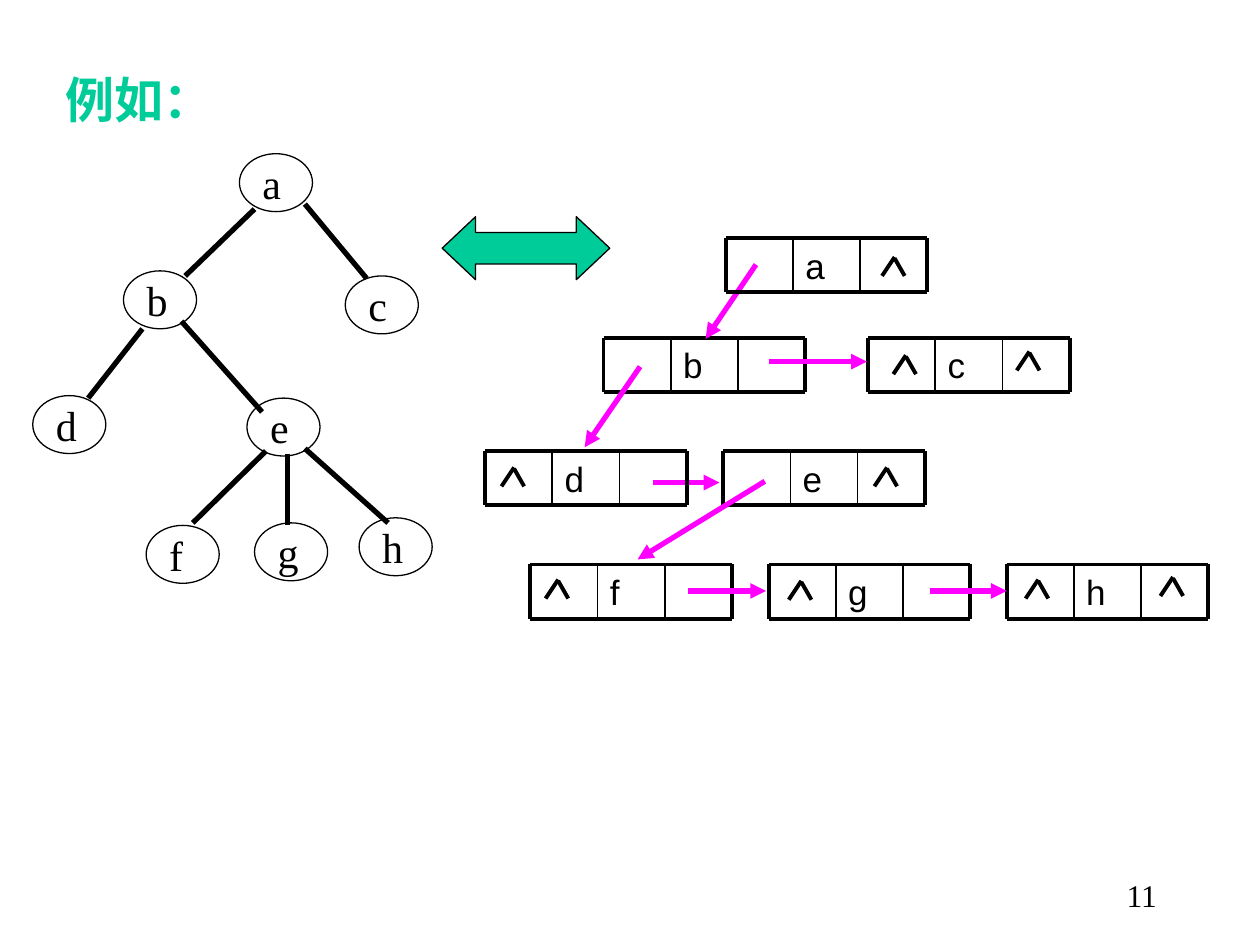
from lxml import etree
from pptx import Presentation
from pptx.dml.color import RGBColor
from pptx.enum.shapes import MSO_CONNECTOR, MSO_SHAPE
from pptx.enum.text import MSO_ANCHOR, PP_ALIGN
from pptx.oxml.ns import qn
from pptx.util import Inches, Pt

BLACK = RGBColor(0x00, 0x00, 0x00)
GREEN = RGBColor(0x00, 0xCC, 0x99)
MAGENTA = RGBColor(0xFF, 0x00, 0xFF)

prs = Presentation()
prs.slide_width, prs.slide_height = Inches(10), Inches(7.5)
s = prs.slides.add_slide(prs.slide_layouts[5])


def add_line(x1, y1, x2, y2, width, color=BLACK, arrow=False):
    c = s.shapes.add_connector(MSO_CONNECTOR.STRAIGHT, Inches(x1), Inches(y1),
                               Inches(x2), Inches(y2))
    c.line.color.rgb = color
    c.line.width = Pt(width)
    if arrow:
        etree.SubElement(c.line._get_or_add_ln(), qn("a:tailEnd"), type="triangle")
    etree.SubElement(c._element.spPr, qn("a:effectLst"))


def set_text(sp, text, font, size, color=BLACK, align=PP_ALIGN.LEFT):
    tf = sp.text_frame
    tf.text = text
    tf.word_wrap = True
    p = tf.paragraphs[0]
    p.alignment = align
    r = p.runs[0]
    r.font.name, r.font.size, r.font.color.rgb = font, Pt(size), color
    return r


# Tree nodes
NODE_W, NODE_H = 0.58, 0.46
tree_nodes = {
    "a": (1.9, 1.22), "b": (0.98, 2.15), "c": (2.74, 2.19), "d": (0.26, 3.14),
    "e": (1.96, 3.16), "f": (1.16, 4.17), "g": (2.02, 4.15), "h": (2.85, 4.11),
}
for key, (x, y) in tree_nodes.items():
    sp = s.shapes.add_shape(MSO_SHAPE.OVAL, Inches(x), Inches(y),
                            Inches(NODE_W), Inches(NODE_H))
    sp.shadow.inherit = False
    sp.fill.background()
    sp.line.color.rgb = BLACK
    sp.line.width = Pt(0.75)
    set_text(sp, key, "Times New Roman", 24)
    sp.text_frame.word_wrap = False
    sp.text_frame.vertical_anchor = MSO_ANCHOR.MIDDLE

# Tree edges
tree_edges = [
    (2.02, 1.66, 1.47, 2.19), (2.42, 1.62, 2.91, 2.21),
    (1.13, 2.61, 0.7, 3.16), (1.44, 2.55, 2.08, 3.27),
    (2.11, 3.58, 1.53, 4.15), (2.28, 3.6, 2.28, 4.17), (2.42, 3.56, 3.08, 4.15),
]
for edge in tree_edges:
    add_line(*edge, 3)

# Linked records: key, left, top, incoming pointer, tips of the null marks
CELL_W, CELL_H = 0.533, 0.43
records = [
    ("b", 4.79, 2.68, (6, 2.1, 5.6, 2.69), []),
    ("a", 5.76, 1.89, None, [(7.1, 2.04)]),
    ("c", 6.89, 2.68, (6.1, 2.87, 6.88, 2.87), [(7.19, 2.82), (8.17, 2.79)]),
    ("e", 5.74, 3.58, (5.18, 3.83, 5.71, 3.83), [(7.04, 3.71)]),
    ("d", 3.85, 3.58, (5.08, 2.91, 4.64, 3.55), [(4.08, 3.71)]),
    ("f", 4.21, 4.48, (6.07, 3.82, 5.06, 4.44), [(4.43, 4.6)]),
    ("g", 6.1, 4.48, (5.46, 4.69, 6.08, 4.69), [(6.36, 4.61)]),
    ("h", 7.99, 4.48, (7.38, 4.69, 7.99, 4.69), [(8.24, 4.6), (9.31, 4.58)]),
]
for key, x, y, pointer, null_marks in records:
    sp = s.shapes.add_textbox(Inches(x + CELL_W), Inches(y),
                              Inches(CELL_W), Inches(CELL_H))
    set_text(sp, key, "Arial", 20)
    for edge_y in (y, y + CELL_H):
        add_line(x, edge_y, x + 3 * CELL_W, edge_y, 2.25)
    for i, width in enumerate((2.25, 1, 1, 2.25)):
        edge_x = x + i * CELL_W
        add_line(edge_x, y, edge_x, y + CELL_H, width)
    if pointer:
        add_line(*pointer, 3, MAGENTA, arrow=True)
    for tip_x, tip_y in null_marks:
        add_line(tip_x, tip_y, tip_x - 0.1, tip_y + 0.15, 2.25)
        add_line(tip_x, tip_y + 0.01, tip_x + 0.08, tip_y + 0.15, 2.25)

# Title
title = s.shapes.title
title.left, title.top = Inches(0.42), Inches(0.5)
title.width, title.height = Inches(1.42), Inches(0.57)
r = set_text(title, "例如：", "Noto Sans CJK SC", 28, GREEN)
r.font.bold = True
etree.SubElement(r.font._element, qn("a:ea"), typeface="Noto Sans CJK SC")
title.text_frame.vertical_anchor = MSO_ANCHOR.MIDDLE

# Equivalence arrow
sp = s.shapes.add_shape(MSO_SHAPE.LEFT_RIGHT_ARROW, Inches(3.51), Inches(1.72),
                        Inches(1.33), Inches(0.5))
sp.adjustments[0], sp.adjustments[1] = 0.5, 0.53
sp.shadow.inherit = False
sp.fill.solid()
sp.fill.fore_color.rgb = GREEN
sp.line.color.rgb = BLACK
sp.line.width = Pt(0.75)

# Page number
sp = s.shapes.add_textbox(Inches(7.2), Inches(6.9), Inches(2.08), Inches(0.5))
set_text(sp, "11", "Times New Roman", 18, align=PP_ALIGN.RIGHT)

prs.save("out.pptx")
